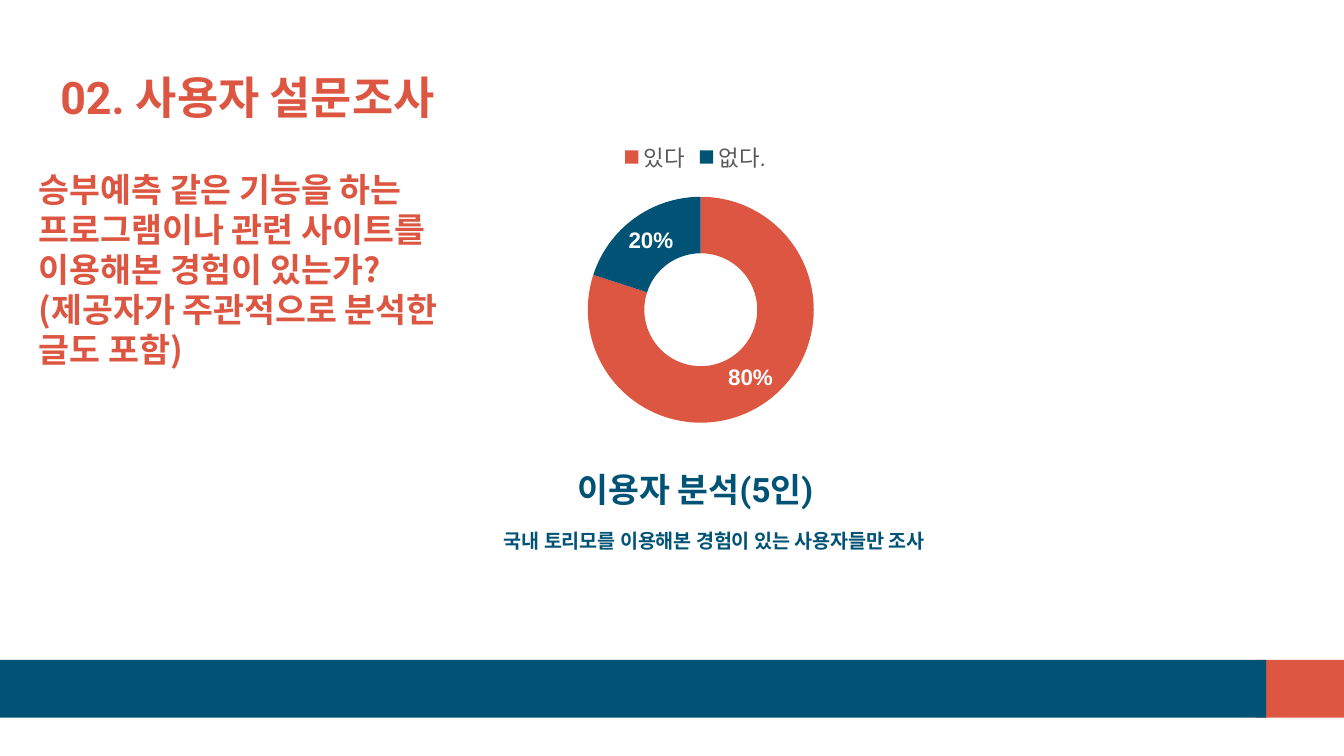
from dataclasses import dataclass

from lxml.etree import SubElement
from pptx import Presentation
from pptx.chart.data import CategoryChartData
from pptx.dml.color import RGBColor as Color
from pptx.enum.chart import XL_CHART_TYPE as ChartType, XL_LEGEND_POSITION as LegendPosition
from pptx.enum.shapes import MSO_SHAPE as ShapeType
from pptx.enum.text import MSO_ANCHOR as Anchor, PP_ALIGN as Align
from pptx.oxml.ns import qn
from pptx.util import Pt


@dataclass(frozen=True)
class Theme:
    coral: Color = Color.from_string("DC5641")
    navy: Color = Color.from_string("005375")
    grey: Color = Color.from_string("595959")
    white: Color = Color.from_string("FFFFFF")
    title: float = 24
    heading: float = 18
    label: float = 12
    caption: float = 10.5
    chart_base: float = 10


def apply(target, values):
    for name, value in values.items():
        setattr(target, name, value)


class SurveySlide:
    """Draws survey elements on one slide in a shared style."""

    def __init__(self, slide, theme):
        self.slide = slide
        self.theme = theme

    def style_font(self, font, name, size, color, bold=False):
        apply(font, {"name": name, "size": Pt(size), "bold": bold})
        font.color.rgb = color

    def bar(self, box, color):
        shape = self.slide.shapes.add_shape(ShapeType.RECTANGLE, *map(Pt, box))
        shape.shadow.inherit = False
        shape.fill.solid()
        shape.fill.fore_color.rgb = color
        shape.line.fill.background()

    def text(self, box, content, font, size, color, align=Align.LEFT, spacing=None):
        frame = self.slide.shapes.add_textbox(*map(Pt, box)).text_frame
        margins = {f"margin_{side}": Pt(7.2) for side in ("left", "top", "right", "bottom")}
        apply(frame, {"word_wrap": True, "vertical_anchor": Anchor.MIDDLE, **margins})
        paragraph = frame.paragraphs[0]
        apply(paragraph, {"text": content, "alignment": align, "line_spacing": spacing})
        for run in paragraph.runs:
            self.style_font(run.font, font, size, color, True)

    def doughnut(self, box, values, colors, layout):
        theme = self.theme
        data = CategoryChartData()
        data.categories = list(values)
        data.add_series("Series 1", list(values.values()))
        chart = self.slide.shapes.add_chart(ChartType.DOUGHNUT, *map(Pt, box), data).chart
        apply(chart, {"has_title": False, "has_legend": True})
        apply(chart.font, {"name": "Arial", "size": Pt(theme.chart_base)})
        apply(chart.legend, {"position": LegendPosition.TOP, "include_in_layout": False})
        self.style_font(chart.legend.font, "Arial", theme.label, theme.grey)
        plot = chart.plots[0]
        apply(plot, {"vary_by_categories": True, "has_data_labels": True})
        labels = plot.data_labels
        apply(labels, {"show_percentage": True, "show_value": False,
                       "show_legend_key": False, "show_category_name": False,
                       "number_format": "0%", "number_format_is_linked": False})
        self.style_font(labels.font, "Arial", theme.label, theme.white, True)
        for index, color in enumerate(colors):
            point = plot.series[0].points[index].format
            point.fill.solid()
            point.fill.fore_color.rgb = color
            point.line.fill.background()
        self.place_plot(chart, layout)

    def place_plot(self, chart, layout):
        area = chart.element.find(".//" + qn("c:plotArea"))
        for old in area.findall(qn("c:layout")):
            area.remove(old)
        holder = SubElement(area, qn("c:layout"))
        area.insert(0, holder)
        manual = SubElement(holder, qn("c:manualLayout"))
        entries = {"layoutTarget": "inner", "xMode": "edge", "yMode": "edge",
                   **dict(zip("xywh", layout))}
        for name, value in entries.items():
            SubElement(manual, qn(f"c:{name}")).set("val", str(value))


def main():
    presentation = Presentation()
    apply(presentation, {"slide_width": Pt(720), "slide_height": Pt(405)})
    theme = Theme()
    survey = SurveySlide(presentation.slides.add_slide(presentation.slide_layouts[6]), theme)

    survey.bar((673, 353.5, 47, 31), theme.coral)
    survey.bar((0, 353.5, 678.4, 31), theme.navy)
    survey.doughnut((279.4, 67, 186.5, 192.2), {"있다": 80, "없다.": 20},
                    (theme.coral, theme.navy), (0.15, 0.2, 0.73, 0.63))
    survey.text((25.2, 36, 635, 31), "02. 사용자 설문조사",
                "Roboto", theme.title, theme.coral)
    survey.text((293, 234, 159, 56.2), "이용자 분석(5인)",
                "Roboto", theme.heading, theme.navy, Align.CENTER)
    survey.text((208.8, 274.3, 347.8, 31), "국내 토리모를 이용해본 경험이 있는 사용자들만 조사",
                "League Spartan", theme.caption, theme.navy, Align.CENTER)
    survey.text((13.7, 77, 259.2, 134.6),
                "승부예측 같은 기능을 하는 프로그램이나 관련 사이트를 이용해본 경험이 있는가?\v"
                "(제공자가 주관적으로 분석한 글도 포함)",
                "Noto Sans CJK KR", theme.heading, theme.coral, spacing=Pt(21.5))
    presentation.save("out.pptx")


if __name__ == "__main__":
    main()
